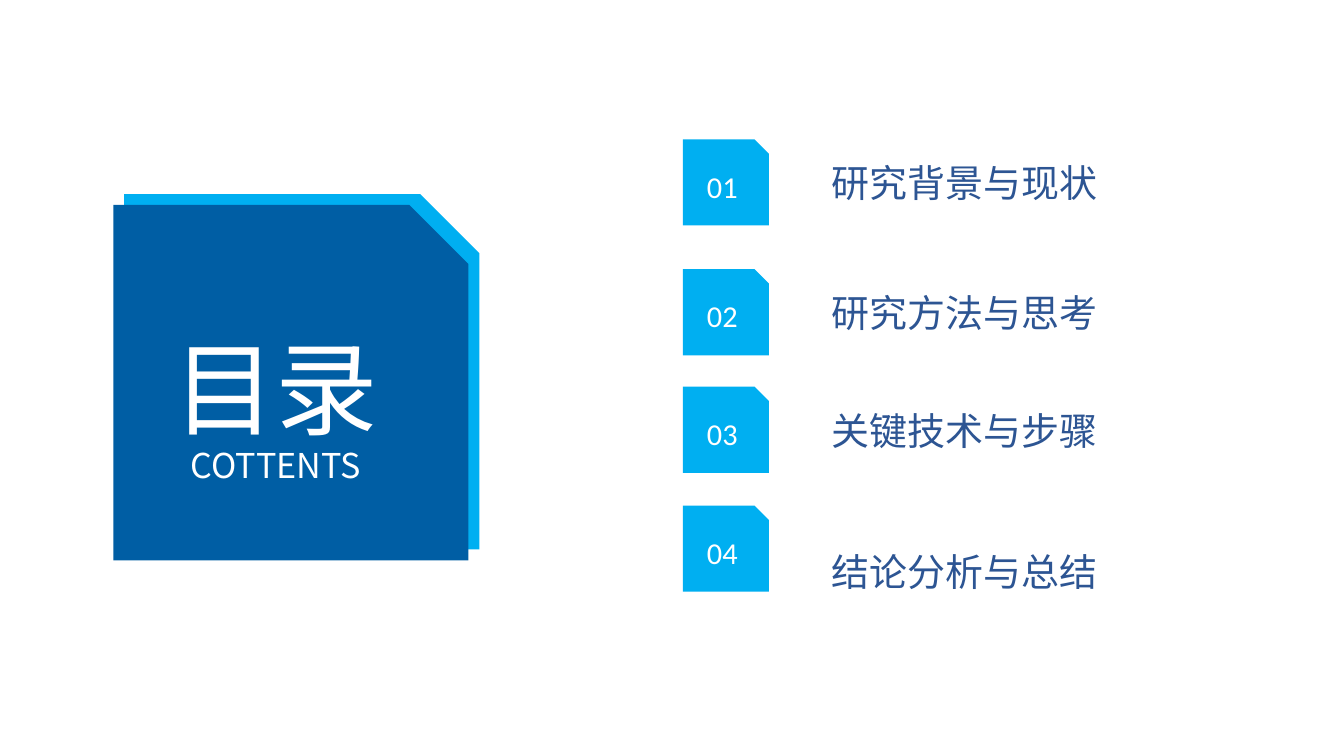
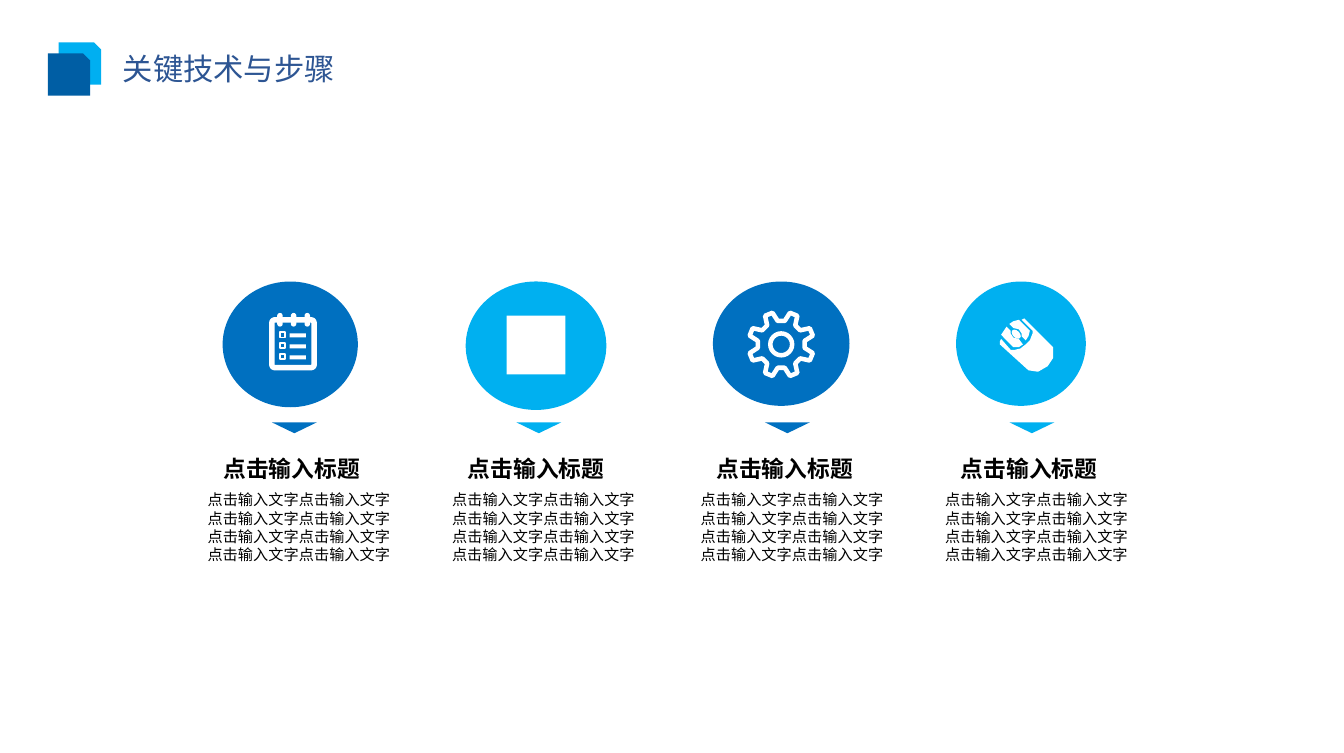
import math
from dataclasses import dataclass

from lxml import etree
from pptx import Presentation
from pptx import util as u
from pptx.dml.color import RGBColor
from pptx.enum import shapes, text
from pptx.oxml import ns

KIND = shapes.MSO_SHAPE
ALIGN = text.PP_ALIGN
ANCHOR = text.MSO_ANCHOR


@dataclass(frozen=True)
class Theme:
    dark: str = "005EA4"
    light: str = "00AFF1"
    oval_dark: str = "0070C0"
    oval_light: str = "00B0F0"
    heading: str = "2D5593"
    white: str = "FFFFFF"
    black: str = "000000"
    font: str = "Noto Sans CJK SC"
    number_font: str = "Calibri"
    contents_size: float = 54
    subtitle_size: float = 18
    item_size: float = 20
    number_size: float = 16
    title_size: float = 16
    step_size: float = 12
    body_size: float = 8


THEME = Theme()
TEXT_MARGINS = (0.07, 0.04)
CARD_SHIFT = 0.08


def place(shape, left, top, width, height):
    shape.left, shape.top = u.Inches(left), u.Inches(top)
    shape.width, shape.height = u.Inches(width), u.Inches(height)


def write_text(frame, lines, *, sizes, color, font=THEME.font, bold=False,
               align=ALIGN.LEFT, anchor=ANCHOR.TOP, margins=(0, 0),
               leading=1.2, gaps=None):
    """Write one paragraph per line; leading is a multiple of the type size, gaps are points before."""
    frame.word_wrap = True
    frame.auto_size = text.MSO_AUTO_SIZE.NONE
    frame.vertical_anchor = anchor
    frame.margin_left = frame.margin_right = u.Inches(margins[0])
    frame.margin_top = frame.margin_bottom = u.Inches(margins[1])
    for index, (line, size) in enumerate(zip(lines, sizes)):
        paragraph = frame.add_paragraph() if index else frame.paragraphs[0]
        paragraph.alignment = align
        paragraph.line_spacing = u.Pt(size * leading)
        paragraph.space_before = u.Pt(gaps[index] if gaps else 0)
        run = paragraph.add_run()
        run.text = line
        run.font.size = u.Pt(size)
        run.font.bold = bold
        run.font.color.rgb = RGBColor.from_string(color)
        run.font.name = font
        east_asian = etree.SubElement(run.font._element, ns.qn("a:ea"))
        east_asian.set("typeface", font)


def paint(shape, fill=None, line=None, line_width=0):
    shape.shadow.inherit = False
    if fill:
        shape.fill.solid()
        shape.fill.fore_color.rgb = RGBColor.from_string(fill)
    else:
        shape.fill.background()
    if line:
        shape.line.color.rgb = RGBColor.from_string(line)
        shape.line.width = u.Pt(line_width)
    else:
        shape.line.fill.background()
    return shape


def add_box(slide, kind, box, **style):
    shape = slide.shapes.add_shape(kind, *(u.Inches(length) for length in box))
    return paint(shape, **style)


def add_outline(slide, left, top, points, **style):
    """Draw a closed polygon whose points are hundredths of an inch from left, top."""
    corners = [(u.Inches(x / 100), u.Inches(y / 100)) for x, y in points]
    builder = slide.shapes.build_freeform(*corners[0])
    builder.add_line_segments(corners[1:], close=True)
    return paint(builder.convert_to_shape(u.Inches(left), u.Inches(top)), **style)


def add_label(slide, box, line, **style):
    label = slide.shapes.add_textbox(*(u.Inches(length) for length in box))
    write_text(label.text_frame, [line], **style)


def stacked_cards(slide, left, top, size):
    add_box(slide, KIND.SNIP_1_RECTANGLE, (left + CARD_SHIFT, top, size, size), fill=THEME.light)
    return add_box(slide, KIND.SNIP_1_RECTANGLE, (left, top + CARD_SHIFT, size, size), fill=THEME.dark)


def contents_card(slide, left, top, size):
    front = stacked_cards(slide, left, top, size)
    title = slide.shapes.title
    front.element.addnext(title.element)
    place(title, left, top + 0.39, size - 0.22, size - 0.22)
    write_text(title.text_frame, ["目录", "COTTENTS"],
               sizes=[THEME.contents_size, THEME.subtitle_size], color=THEME.white,
               align=ALIGN.CENTER, anchor=ANCHOR.MIDDLE, leading=1.1)


def contents_list(slide, left, top, items):
    """Place numbered squares and their topics; each item is topic, square offset, text offset."""
    side = 0.63
    for number, (_, square_offset, _) in enumerate(items, 1):
        square = add_box(slide, KIND.SNIP_1_RECTANGLE,
                         (left, top + square_offset, side, side), fill=THEME.light)
        write_text(square.text_frame, [f"{number:02}"], sizes=[THEME.number_size],
                   color=THEME.white, font=THEME.number_font,
                   align=ALIGN.CENTER, anchor=ANCHOR.MIDDLE)
    topics = [item[0] for item in items]
    offsets = [item[2] for item in items]
    line_height = THEME.item_size * 1.2
    gaps = [0] + [(after - before) * 72 - line_height
                  for before, after in zip(offsets, offsets[1:])]
    body = slide.placeholders[1]
    place(body, left + 1.02, top + offsets[0], 3.5, 3.4)
    write_text(body.text_frame, topics, sizes=[THEME.item_size] * len(items),
               color=THEME.heading, margins=TEXT_MARGINS, gaps=gaps)
    for paragraph in body.text_frame.paragraphs:
        properties = paragraph._p.get_or_add_pPr()
        properties.set("marL", "0")
        properties.set("indent", "0")
        etree.SubElement(properties, ns.qn("a:buNone"))


def title_band(slide, left, top, title_text):
    stacked_cards(slide, left, top, 0.31)
    title = slide.shapes.title
    place(title, left + 0.48, top + 0.02, 1.89, 0.34)
    write_text(title.text_frame, [title_text], sizes=[THEME.title_size],
               color=THEME.heading, margins=TEXT_MARGINS)


def notepad_icon(slide, left, top):
    frame = add_box(slide, KIND.ROUNDED_RECTANGLE, (left + 0.02, top + 0.05, 0.31, 0.35),
                    line=THEME.white, line_width=2.88)
    frame.adjustments[0] = 0.07
    for ring in range(3):
        clip = add_box(slide, KIND.ROUNDED_RECTANGLE,
                       (left + 0.06 + 0.1 * ring, top, 0.04, 0.1), fill=THEME.white)
        clip.adjustments[0] = 0.5
    for row in range(3):
        row_top = top + 0.14 + 0.08 * row
        add_box(slide, KIND.RECTANGLE, (left + 0.08, row_top, 0.04, 0.04),
                line=THEME.white, line_width=1)
        add_box(slide, KIND.RECTANGLE, (left + 0.15, row_top + 0.01, 0.12, 0.03), fill=THEME.white)


def square_icon(slide, left, top):
    add_box(slide, KIND.RECTANGLE, (left, top, 0.43, 0.43), fill=THEME.white)


def gear_icon(slide, left, top):
    center, stroke = 23, dict(line=THEME.white, line_width=2.38)
    tooth = [(-14, 17.3), (-7, 24), (7, 24), (14, 17.3)]
    points = []
    for step in range(8):
        for turn, radius in tooth:
            angle = math.radians(22.5 + 45 * step + turn)
            points.append((center + radius * math.sin(angle), center - radius * math.cos(angle)))
    add_outline(slide, left, top, points, **stroke)
    add_box(slide, KIND.OVAL, (left + 0.15, top + 0.15, 0.16, 0.16), **stroke)


def mouse_icon(slide, left, top):
    body = [(1, 15), (0, 17), (0, 19), (21, 38), (28, 39), (35, 35), (39, 29), (39, 21),
            (18, 0), (16, 1), (24, 9), (24, 11), (22, 16), (19, 19), (15, 22), (11, 23), (8, 23)]
    right_button = [(14, 1), (22, 9), (21, 13), (19, 16), (16, 13), (16, 11),
                    (14, 8), (10, 7), (7, 4), (10, 2)]
    left_button = [(5, 6), (1, 12), (10, 21), (14, 21), (17, 19), (14, 15),
                   (10, 14), (8, 11), (8, 9)]
    for outline in (body, right_button, left_button):
        add_outline(slide, left, top, outline, fill=THEME.white)
    wheel = add_box(slide, KIND.OVAL, (left + 0.08, top + 0.09, 0.08, 0.05), fill=THEME.white)
    wheel.rotation = 45


def step_column(slide, left, top, color, oval, icon):
    """Draw one step; oval is offset, width, height and icon is function, offset, drop."""
    arrow = add_box(slide, KIND.ISOSCELES_TRIANGLE, (left + 0.8, top + 1.03, 0.33, 0.08), fill=color)
    arrow.rotation = 180
    oval_offset, width, height = oval
    add_box(slide, KIND.OVAL, (left + oval_offset, top, width, height), fill=color)
    draw_icon, icon_offset, icon_drop = icon
    draw_icon(slide, left + icon_offset, top + icon_drop)
    add_label(slide, (left, top + 1.27, 1.89, 0.2), "点击输入标题", sizes=[THEME.step_size],
              color=THEME.black, bold=True, align=ALIGN.CENTER)
    add_label(slide, (left + 0.27, top + 1.53, 1.4, 0.54), "点击输入文字" * 8,
              sizes=[THEME.body_size], color=THEME.black, align=ALIGN.RIGHT)


def contents_slide(presentation):
    slide = presentation.slides.add_slide(presentation.slide_layouts[1])
    contents_card(slide, 0.83, 1.42, 2.6)
    contents_list(slide, 5, 1.02, [
        ("研究背景与现状", 0, 0.11),
        ("研究方法与思考", 0.95, 1.06),
        ("关键技术与步骤", 1.81, 1.92),
        ("结论分析与总结", 2.68, 2.95),
    ])


def steps_slide(presentation):
    slide = presentation.slides.add_slide(presentation.slide_layouts[5])
    title_band(slide, 0.35, 0.31, "关键技术与步骤")
    columns = [
        (1.19, (0.44, 0.99, 0.92), (notepad_icon, 0.78, 0.23)),
        (2.98, (0.43, 1.03, 0.94), (square_icon, 0.73, 0.25)),
        (4.8, (0.42, 1, 0.91), (gear_icon, 0.69, 0.23)),
        (6.59, (0.41, 0.95, 0.91), (mouse_icon, 0.73, 0.27)),
    ]
    for index, (left, oval, icon) in enumerate(columns):
        color = THEME.oval_light if index % 2 else THEME.oval_dark
        step_column(slide, left, 2.06, color, oval, icon)


def main():
    presentation = Presentation()
    presentation.slide_width = u.Inches(9.84)
    presentation.slide_height = u.Inches(5.51)
    contents_slide(presentation)
    steps_slide(presentation)
    presentation.save("out.pptx")


if __name__ == "__main__":
    main()
